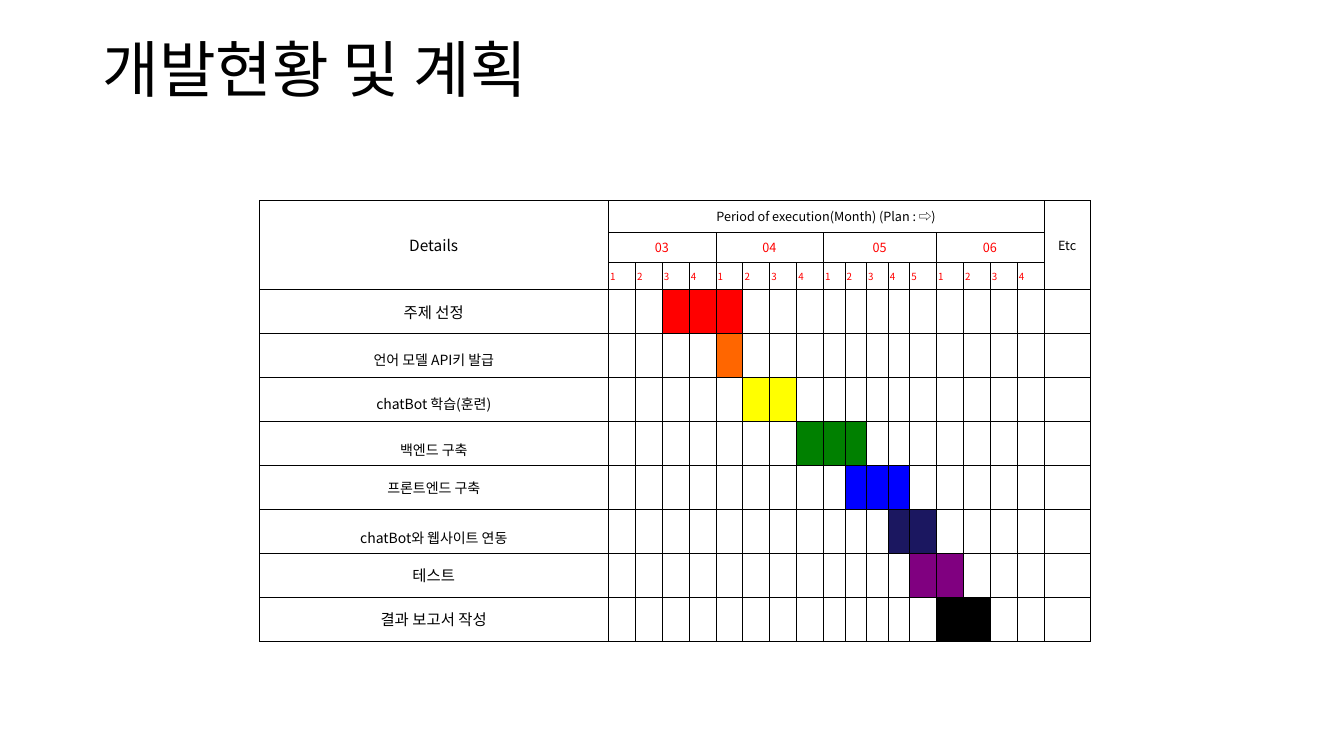
from lxml.etree import SubElement as Sub
from pptx import Presentation
from pptx.dml.color import RGBColor as RGB
from pptx.enum.text import MSO_ANCHOR as ANCHOR, PP_ALIGN as ALIGN
from pptx.oxml import parse_xml
from pptx.oxml.ns import nsdecls, qn
from pptx.util import Pt

FONT = "Noto Sans CJK KR"
COLORS = {
    "black": "000000", "red": "FF0000", "orange": "FF6600",
    "yellow": "FFFF00", "green": "008000", "blue": "0000FF",
    "navy": "1B1760", "purple": "800080",
}
MONTHS = [("03", 4), ("04", 4), ("05", 5), ("06", 4)]
# task, text size, line spacing, first week column, weeks, bar colour
TASKS = [
    ("주제 선정", 11, 1, 3, 3, "red"),
    ("언어 모델 API키 발급", 10, 1.4, 5, 1, "orange"),
    ("chatBot 학습(훈련)", 10, 1.4, 6, 2, "yellow"),
    ("백엔드 구축", 10, 1.6, 8, 3, "green"),
    ("프론트엔드 구축", 10, 1, 10, 3, "blue"),
    ("chatBot와 웹사이트 연동", 10, 1.6, 12, 2, "navy"),
    ("테스트", 11, 1, 13, 2, "purple"),
    ("결과 보고서 작성", 11, 1, 14, 2, "black"),
]
WEEKS = sum(count for _, count in MONTHS)
ETC = WEEKS + 1
HEAD = 3
WIDTHS = [249.3] + [19.2] * 8 + [15.4] * 4 + [19.2] * 5 + [33.5]
HEIGHTS = [22.8, 21.5, 19.2] + [31.4] * len(TASKS)


def style(para, size, color="black", align=ALIGN.CENTER, space=1):
    """Format a paragraph, for Latin and Korean letters alike."""
    para.alignment = align
    para.line_spacing = space
    font = para.font
    font.size, font.name = Pt(size), FONT
    font.color.rgb = RGB.from_string(COLORS[color])
    props = para._p.pPr.find(qn("a:defRPr"))
    Sub(props, qn("a:ea")).set("typeface", FONT)


def write(cell, text, size, **look):
    """Put one formatted line of text in a cell."""
    cell.text = text
    style(cell.text_frame.paragraphs[0], size, **look)


def border(cell):
    """Draw a hairline on all four sides of a cell."""
    props = cell._tc.get_or_add_tcPr()
    for spot, side in enumerate("LRTB"):
        props.insert(spot, parse_xml(
            f'<a:ln{side} {nsdecls("a")} w="{Pt(0.28)}"><a:solidFill>'
            f'<a:srgbClr val="{COLORS["black"]}"/></a:solidFill></a:ln{side}>'))


def add_title(slide, text):
    """Place and format the slide title."""
    title = slide.shapes.title
    title.left, title.top = Pt(66), Pt(28.8)
    title.width, title.height = Pt(828), Pt(104.4)
    frame = title.text_frame
    frame.text = text
    frame.word_wrap = True
    frame.vertical_anchor = ANCHOR.MIDDLE
    frame.margin_top, frame.margin_bottom = 0, Pt(58)
    style(frame.paragraphs[0], 44, align=ALIGN.LEFT, space=0.9)


def add_grid(slide):
    """Add the empty, bordered table."""
    frame = slide.shapes.add_table(
        len(HEIGHTS), len(WIDTHS), Pt(185.2), Pt(143.2),
        Pt(sum(WIDTHS)), Pt(sum(HEIGHTS)))
    table = frame.table
    table.first_row = table.horz_banding = False
    for col, width in zip(table.columns, WIDTHS):
        col.width = Pt(width)
    for row, height in zip(table.rows, HEIGHTS):
        row.height = Pt(height)
    for cell in table.iter_cells():
        cell.margin_left = cell.margin_right = Pt(1.4)
        cell.margin_top = cell.margin_bottom = Pt(1.4)
        cell.vertical_anchor = ANCHOR.MIDDLE
        cell.fill.background()
        border(cell)
        style(cell.text_frame.paragraphs[0], 7)
    return table


def add_head(table):
    """Fill the heading rows: labels, months and weeks."""
    for col, text, size in [(0, "Details", 11), (ETC, "Etc", 9)]:
        table.cell(0, col).merge(table.cell(HEAD - 1, col))
        write(table.cell(0, col), text, size)
    table.cell(0, 1).merge(table.cell(0, WEEKS))
    write(table.cell(0, 1), "Period of execution(Month) (Plan : ⇨)", 9)
    col = 1
    for month, count in MONTHS:
        table.cell(1, col).merge(table.cell(1, col + count - 1))
        write(table.cell(1, col), month, 9, color="red")
        for week in range(count):
            write(table.cell(2, col + week), str(week + 1), 7,
                  color="red", align=ALIGN.JUSTIFY)
        col += count


def add_tasks(table):
    """Name each task and colour its weeks."""
    for row, task in enumerate(TASKS, HEAD):
        text, size, space, first, count, color = task
        write(table.cell(row, 0), text, size, space=space)
        for col in range(first, first + count):
            fill = table.cell(row, col).fill
            fill.solid()
            fill.fore_color.rgb = RGB.from_string(COLORS[color])


def main():
    """Build and save the slide."""
    deck = Presentation()
    deck.slide_width, deck.slide_height = Pt(960), Pt(540)
    slide = deck.slides.add_slide(deck.slide_layouts[5])
    add_title(slide, "개발현황 및 계획")
    table = add_grid(slide)
    add_head(table)
    add_tasks(table)
    deck.save("out.pptx")


main()
